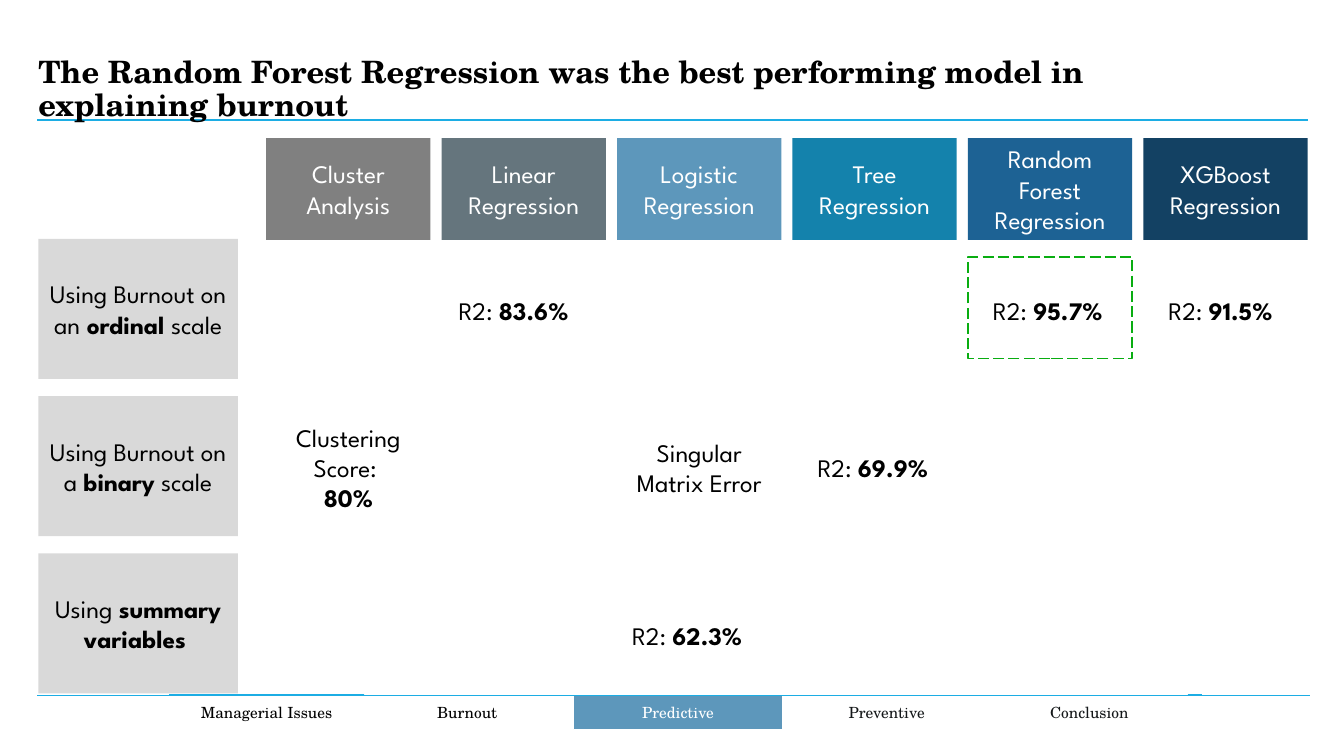
from pptx import Presentation
from pptx.dml.color import RGBColor
from pptx.enum.dml import MSO_LINE
from pptx.enum.shapes import MSO_CONNECTOR, MSO_SHAPE
from pptx.enum.text import MSO_ANCHOR, MSO_AUTO_SIZE, PP_ALIGN
from pptx.oxml.ns import qn
from pptx.util import Pt
from lxml.etree import SubElement

PX = 9144  # EMU per px, 100 px to the inch

THEME = dict(
    serif="TeX Gyre Schola", sans="League Spartan",
    title_size=22, body_size=18, tab_size=11,
    black="000000", white="FFFFFF", ink="141719",
    rule="1CADE4", active_tab="5D97BB", row_label="D9D9D9", best="09AD11",
)

prs = Presentation()
prs.slide_width, prs.slide_height = 1333 * PX, 750 * PX
slide = prs.slides.add_slide(prs.slide_layouts[6])
shapes = slide.shapes


def add_box(left, top, width, height, fill=None, line=None):
    box = shapes.add_shape(MSO_SHAPE.RECTANGLE, *(n * PX for n in (left, top, width, height)))
    box.shadow.inherit = False
    for part, color in ((box.fill, fill), (box.line.fill, line)):
        if color:
            part.solid()
            part.fore_color.rgb = RGBColor.from_string(color)
        else:
            part.background()
    if line:
        box.line.width = Pt(1)
    return box


def write(shape, text, font="sans", size="body_size", color=THEME["black"],
          align=PP_ALIGN.CENTER, **frame_format):
    """Fill a shape with text: newlines part paragraphs, ** toggles bold."""
    frame = shape.text_frame
    frame_format = dict(word_wrap=True, vertical_anchor=MSO_ANCHOR.MIDDLE) | frame_format
    for name, value in frame_format.items():
        setattr(frame, name, value)
    for i, line in enumerate(text.split("\n")):
        paragraph = frame.add_paragraph() if i else frame.paragraphs[0]
        paragraph.alignment = align
        for j, piece in enumerate(line.split("**")):
            if piece:
                run = paragraph.add_run()
                run.text = piece
                run.font.color.rgb = RGBColor.from_string(color)
                run_format = dict(name=THEME[font], size=Pt(THEME[size]), bold=j % 2 == 1)
                for name, value in run_format.items():
                    setattr(run.font, name, value)


# Navigation tabs
tabs = [
    ("Managerial Issues", 161, 207, None, THEME["black"]),
    ("Burnout ", 362, 207, THEME["white"], THEME["black"]),
    ("Predictive", 569, 207, THEME["active_tab"], THEME["white"]),
    ("Preventive", 776, 207, THEME["white"], THEME["ink"]),
    ("Conclusion", 983, 195, THEME["white"], THEME["ink"]),
]
rules = [(37, 1297, 119, 1), (168, 1192, 689, 0.5), (37, 1299, 690, 1)]

for start, end, y, weight in rules:
    if y == 690:  # the lowest rule lies over the tabs
        for label, left, width, fill, color in tabs:
            tab = add_box(left, 689, width, 35, fill, fill and THEME["white"])
            write(tab, label, "serif", "tab_size", color)
    rule = shapes.add_connector(MSO_CONNECTOR.STRAIGHT, start * PX, y * PX, end * PX, y * PX)
    rule.line.color.rgb = RGBColor.from_string(THEME["rule"])
    rule.line.width = Pt(weight)
    SubElement(rule.line._get_or_add_ln().getparent(), qn("a:effectLst"))

# Title
title = shapes.add_textbox(38 * PX, 56 * PX, 1140 * PX, 59 * PX)
write(title, "**The Random Forest Regression was the best performing model in explaining burnout**",
      "serif", "title_size", align=PP_ALIGN.LEFT, vertical_anchor=MSO_ANCHOR.TOP,
      margin_left=0, margin_right=0, margin_top=0, margin_bottom=0)
title.text_frame.paragraphs[0].line_spacing = 0.9

# Model headings and row labels
COLUMN_LEFT, COLUMN_STEP, COLUMN_WIDTH = 264, 174, 163
models = [
    ("Cluster Analysis", "808080"),
    ("Linear Regression", "65757D"),
    ("Logistic Regression", "5D97BB"),
    ("Tree Regression", "1482AC"),
    ("Random Forest Regression", "1D6294"),
    ("XGBoost Regression", "134163"),
]
for column, (model, fill) in enumerate(models):
    heading = add_box(COLUMN_LEFT + column * COLUMN_STEP, 137, COLUMN_WIDTH, 101, fill)
    write(heading, model, color=THEME["white"])

scales = [
    "Using Burnout on an** ordinal **scale",
    "Using Burnout on a **binary** scale",
    "Using **summary variables **",
]
for row, scale in enumerate(scales):
    write(add_box(38, 237 + row * 156, 198, 139, THEME["row_label"]), scale)

# Results
scores = [("83.6%", 445, 288), ("95.7%", 975, 288), ("91.5%", 1149, 288),
          ("69.9%", 801, 444), ("62.3%", 617, 610)]
for score, left, top in scores:
    result = shapes.add_textbox(left * PX, top * PX, 135 * PX, 40 * PX)
    write(result, f"R2: **{score}**", align=PP_ALIGN.LEFT, word_wrap=False,
          vertical_anchor=MSO_ANCHOR.TOP, auto_size=MSO_AUTO_SIZE.SHAPE_TO_FIT_TEXT)

remarks = [("Clustering Score: \n**80%**", 0, 414, 101), ("Singular Matrix Error", 2, 429, 71)]
for remark, column, top, height in remarks:
    note = shapes.add_textbox((COLUMN_LEFT + column * COLUMN_STEP) * PX, top * PX,
                              COLUMN_WIDTH * PX, height * PX)
    write(note, remark, vertical_anchor=MSO_ANCHOR.TOP,
          auto_size=MSO_AUTO_SIZE.SHAPE_TO_FIT_TEXT)

best_model = add_box(COLUMN_LEFT + 4 * COLUMN_STEP, 255, COLUMN_WIDTH, 101, line=THEME["best"])
best_model.line.dash_style = MSO_LINE.LONG_DASH

prs.save("out.pptx")
